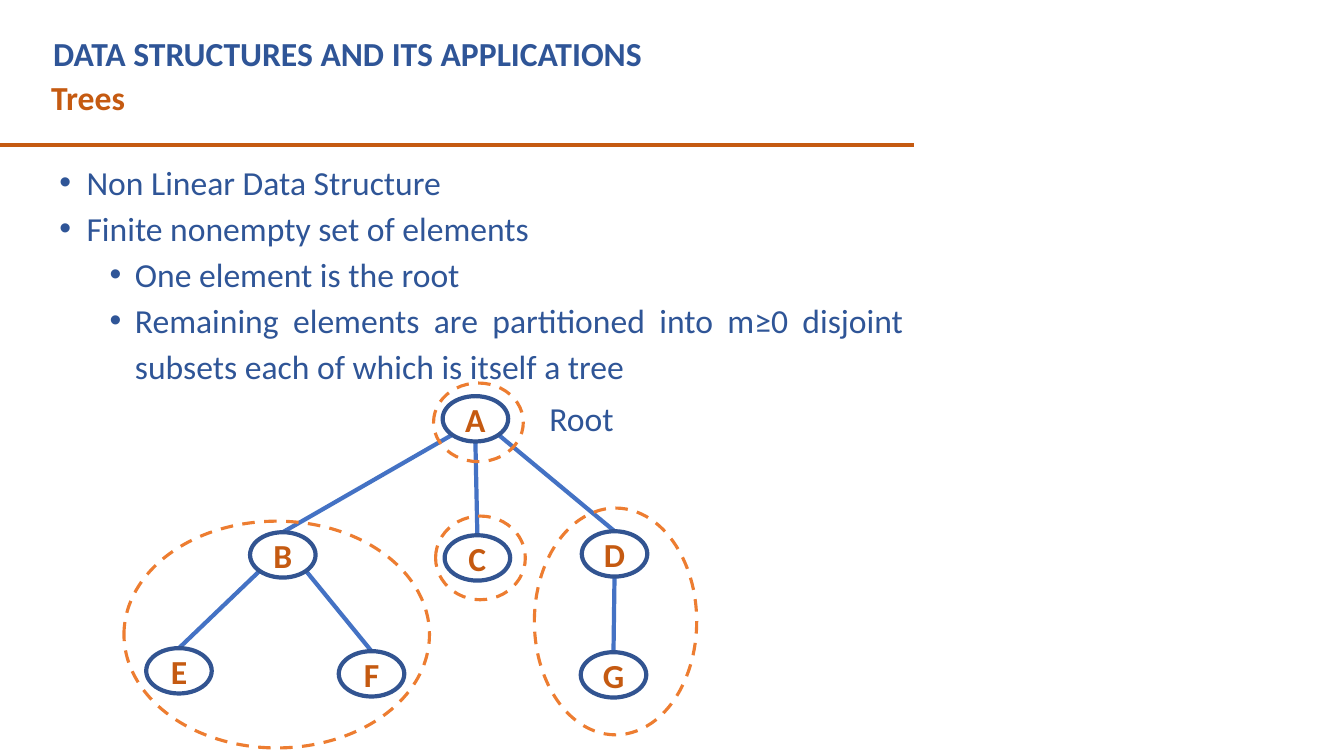
from math import sqrt

from lxml import etree
from pptx import Presentation
from pptx.dml.color import RGBColor
from pptx.enum.dml import MSO_LINE
from pptx.enum.shapes import MSO_CONNECTOR, MSO_SHAPE
from pptx.enum.text import MSO_ANCHOR, PP_ALIGN
from pptx.oxml.ns import qn
from pptx.util import Pt

PX = 9144
OVAL = MSO_SHAPE.OVAL
LINE = MSO_CONNECTOR.STRAIGHT
DASH = MSO_LINE.DASH
TOP, MIDDLE = MSO_ANCHOR.TOP, MSO_ANCHOR.MIDDLE
LEFT, CENTER, JUSTIFY = PP_ALIGN.LEFT, PP_ALIGN.CENTER, PP_ALIGN.JUSTIFY

BLUE, RUST, ORANGE = "2F5597", "C55A11", "ED7D31"
RIM, EDGE, WHITE = "325491", "4472C4", "FFFFFF"

NODE_W, NODE_H = 65, 45
NODES = {
    "A": (439, 393), "B": (248, 528), "C": (441, 531), "D": (577, 527),
    "E": (145, 643), "F": (336, 646), "G": (576, 647),
}
EDGES = [("A", "B", -1), ("A", "C", 0), ("A", "D", 1),
         ("B", "E", -1), ("B", "F", 1), ("D", "G", 0)]
RINGS = [(430, 380, 89, 78), (123, 517, 303, 225),
         (432, 512, 89, 83), (530, 504, 161, 225)]
POINTS = [
    (0, "Non Linear Data Structure"),
    (0, "Finite nonempty set of elements"),
    (1, "One element is the root"),
    (1, "Remaining elements are partitioned into m≥0 disjoint "
        "subsets each of which is itself a tree"),
]
INDENTS = [(27, 27), (75, 25)]


def emu(*sizes):
    return [round(size * PX) for size in sizes]


def color(code):
    return RGBColor.from_string(code)


def style(para, code, bold=False, align=LEFT):
    para.alignment = align
    for run in para.runs:
        font = run.font
        font.name = "Calibri"
        font.size = Pt(24)
        font.bold = bold
        font.color.rgb = color(code)


def add_box(slide, area):
    frame = slide.shapes.add_textbox(*emu(*area)).text_frame
    frame.word_wrap = True
    frame.vertical_anchor = TOP
    return frame


def add_label(slide, area, text, code, bold=False):
    frame = add_box(slide, area)
    frame.text = text
    style(frame.paragraphs[0], code, bold)


def add_bullet(para, level):
    left, hang = emu(*INDENTS[level])
    props = para._p.get_or_add_pPr()
    props.set("marL", str(left))
    props.set("indent", str(-hang))
    etree.SubElement(props, qn("a:buFont")).set("typeface", "Arial")
    etree.SubElement(props, qn("a:buChar")).set("char", "•")


def add_points(slide, area):
    frame = add_box(slide, area)
    frame.margin_top = frame.margin_bottom = 0
    frame.text = "\n".join(text for _, text in POINTS)
    for para, (level, _) in zip(frame.paragraphs, POINTS):
        add_bullet(para, level)
        para.level = level
        para.line_spacing = 1.14
        style(para, BLUE, align=JUSTIFY)


def add_line(slide, start, end, code):
    line = slide.shapes.add_connector(LINE, *emu(*start, *end))
    line.line.color.rgb = color(code)
    line.line.width = Pt(3)
    etree.SubElement(line._element.spPr, qn("a:effectLst"))


def add_oval(slide, area, code, width):
    oval = slide.shapes.add_shape(OVAL, *emu(*area))
    oval.shadow.inherit = False
    oval.line.color.rgb = color(code)
    oval.line.width = Pt(width)
    return oval


def add_edge(slide, parent, child, side):
    left, top = NODES[parent]
    slant = sqrt(0.5) if side else 1
    start = (left + NODE_W / 2 * (1 + side * slant),
             top + NODE_H / 2 * (1 + slant))
    left, top = NODES[child]
    add_line(slide, start, (left + NODE_W / 2, top), EDGE)


def add_node(slide, name):
    node = add_oval(slide, (*NODES[name], NODE_W, NODE_H), RIM, 3)
    node.fill.solid()
    node.fill.fore_color.rgb = color(WHITE)
    frame = node.text_frame
    frame.margin_left = frame.margin_right = 0
    frame.margin_top = frame.margin_bottom = 0
    frame.word_wrap = False
    frame.vertical_anchor = MIDDLE
    frame.text = name
    style(frame.paragraphs[0], RUST, True, CENTER)


def add_ring(slide, area):
    ring = add_oval(slide, area, ORANGE, 2.25)
    ring.fill.background()
    ring.line.dash_style = DASH


def main():
    deck = Presentation()
    deck.slide_width, deck.slide_height = emu(1333, 750)
    slide = deck.slides.add_slide(deck.slide_layouts[6])
    add_label(slide, (41, 71, 875, 50), "Trees", RUST, True)
    add_line(slide, (0, 144), (907, 144), RUST)
    add_points(slide, (49, 155, 857, 235))
    add_label(slide, (43, 28, 820, 50),
              "DATA STRUCTURES AND ITS APPLICATIONS", BLUE, True)
    for edge in EDGES:
        add_edge(slide, *edge)
    for name in NODES:
        add_node(slide, name)
    for area in RINGS:
        add_ring(slide, area)
    add_label(slide, (535, 390, 88, 50), "Root", BLUE)
    deck.save("out.pptx")


if __name__ == "__main__":
    main()
